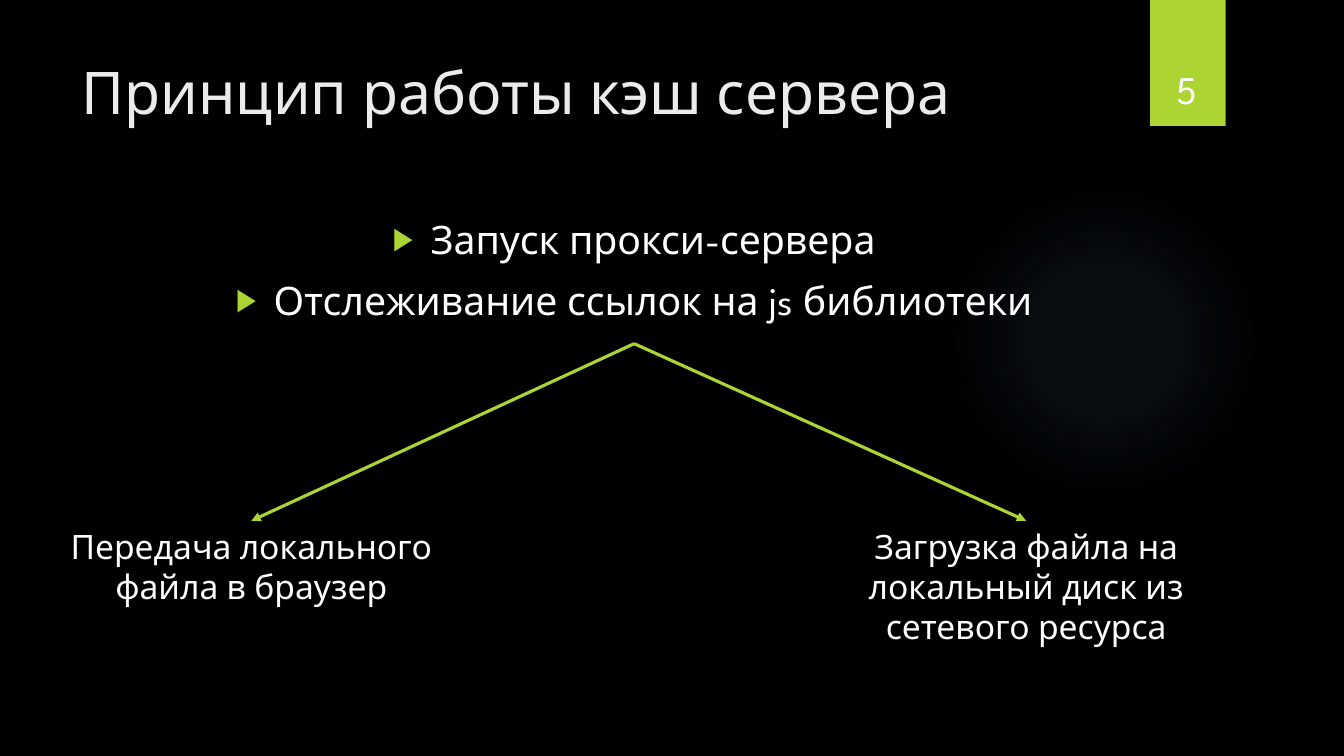
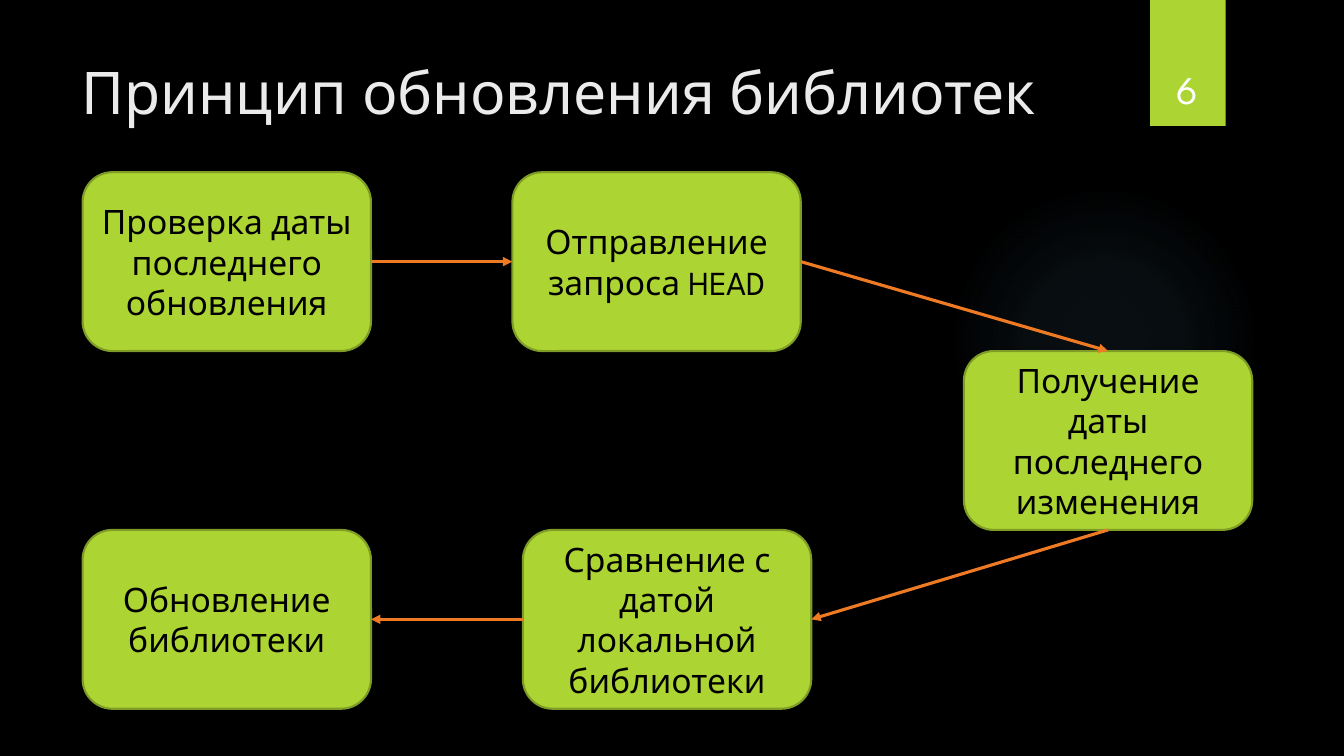
from dataclasses import dataclass

from pptx import Presentation
from pptx.dml.color import RGBColor
from pptx.enum.shapes import MSO_CONNECTOR, MSO_SHAPE
from pptx.enum.text import MSO_ANCHOR, MSO_AUTO_SIZE, PP_ALIGN
from pptx.oxml import parse_xml
from pptx.oxml.ns import nsdecls
from pptx.util import Pt

TOP, LEFT, BOTTOM, RIGHT = 0, 1, 2, 3


# Colours and type sizes
@dataclass(frozen=True)
class Theme:
    font: str = "League Spartan"
    back: RGBColor = RGBColor(0, 0, 0)
    lime: RGBColor = RGBColor(0xAC, 0xD4, 0x33)
    edge: RGBColor = RGBColor(0x7F, 0x9D, 0x26)
    orange: RGBColor = RGBColor(0xEF, 0x7A, 0x24)
    title: RGBColor = RGBColor(0xEB, 0xEB, 0xEB)
    white: RGBColor = RGBColor(0xFF, 0xFF, 0xFF)
    glow: str = "7AC4F0"
    head: int = 42
    list: int = 28
    label: int = 24


def assign(item, values):
    for name, value in values.items():
        setattr(item, name, value)


def xml(tag, inner="", **attrs):
    pairs = "".join(f' {name}="{value}"' for name, value in attrs.items())
    return parse_xml(f"<a:{tag} {nsdecls('a')}{pairs}>{inner}</a:{tag}>")


def points(*sizes):
    return [Pt(size) for size in sizes]


class Deck:
    def __init__(self, theme):
        self.theme = theme
        self.prs = Presentation()
        assign(self.prs, {"slide_width": Pt(960), "slide_height": Pt(540)})
        fill = self.prs.slide_master.background.fill
        fill.solid()
        fill.fore_color.rgb = theme.back
        self.slide = None

    # Shared frame: glow, corner tag, title and number
    def page(self, title, number, layout):
        theme = self.theme
        self.slide = self.prs.slides.add_slide(self.prs.slide_layouts[layout])
        head = self.slide.shapes.title
        self.place(head, (51, 36, 741, 110))
        self.letter(head.text_frame, [title], theme.head, theme.title, PP_ALIGN.LEFT)
        head.element.addprevious(self.glow().element)
        self.shape(MSO_SHAPE.RECTANGLE, (821.5, 0, 54, 90), theme.lime)
        self.text([number], (815, 23, 66, 60.5), theme.list,
                  vertical_anchor=MSO_ANCHOR.BOTTOM)

    def place(self, item, box):
        assign(item, dict(zip(("left", "top", "width", "height"), points(*box))))

    def letter(self, frame, lines, size, color, align=PP_ALIGN.CENTER, **more):
        assign(frame, {"word_wrap": True, "auto_size": MSO_AUTO_SIZE.NONE,
                       "vertical_anchor": MSO_ANCHOR.TOP, **more})
        for index, line in enumerate(lines):
            para = frame.add_paragraph() if index else frame.paragraphs[0]
            assign(para, {"alignment": align, "space_before": Pt(0)})
            run = para.add_run()
            run.text = line
            assign(run.font, {"name": self.theme.font, "size": Pt(size)})
            run.font.color.rgb = color

    def text(self, lines, box, size, **more):
        item = self.slide.shapes.add_textbox(*points(*box))
        self.letter(item.text_frame, lines, size, self.theme.white, **more)
        return item

    def shape(self, kind, box, color):
        item = self.slide.shapes.add_shape(kind, *points(*box))
        item.shadow.inherit = False
        item.fill.solid()
        item.fill.fore_color.rgb = color
        item.line.fill.background()
        return item

    def glow(self):
        item = self.shape(MSO_SHAPE.OVAL, (677.5, 132, 222, 222), self.theme.back)
        stops = "".join(
            f'<a:gs pos="{pos * 1000}"><a:srgbClr val="{self.theme.glow}">'
            f'<a:alpha val="{alpha * 1000}"/></a:srgbClr></a:gs>'
            for pos, alpha in ((0, 7), (36, 6), (69, 0), (100, 0)))
        middle = '<a:fillToRect l="50000" t="50000" r="50000" b="50000"/>'
        solid = item.element.spPr.find("{*}solidFill")
        solid.getparent().replace(solid, xml(
            "gradFill", f'<a:gsLst>{stops}</a:gsLst><a:path path="circle">{middle}</a:path>'))
        return item

    def bullets(self, lines, box):
        body = self.slide.placeholders[1]
        self.place(body, box)
        self.letter(body.text_frame, lines, self.theme.list, self.theme.white)
        for index, para in enumerate(body.text_frame.paragraphs):
            para.space_before = Pt(10 if index else 0)
            props = para._p.get_or_add_pPr()
            props.set("marL", str(Pt(27)))
            props.set("indent", str(-Pt(27)))
            props.append(xml("buClr", f'<a:srgbClr val="{self.theme.lime}"/>'))
            props.append(xml("buSzPct", val=80000))
            props.append(xml("buChar", char="▶"))

    def label(self, lines, box):
        return self.text(lines, box, self.theme.label,
                         auto_size=MSO_AUTO_SIZE.SHAPE_TO_FIT_TEXT)

    def step(self, line, box):
        item = self.shape(MSO_SHAPE.ROUNDED_RECTANGLE, box, self.theme.lime)
        item.line.color.rgb = self.theme.edge
        item.line.width = Pt(1.5)
        self.letter(item.text_frame, [line], self.theme.label, self.theme.back,
                    vertical_anchor=MSO_ANCHOR.MIDDLE)
        return item

    def arrow(self, color, end, side, start=(0, 0), begin=None, begin_side=0):
        line = self.slide.shapes.add_connector(
            MSO_CONNECTOR.STRAIGHT, *points(*start, *start))
        if begin is not None:
            line.begin_connect(begin, begin_side)
        line.end_connect(end, side)
        line.line.color.rgb = color
        line.line.width = Pt(2.25)
        props = line.element.spPr
        props.find("{*}ln").append(xml("tailEnd", type="triangle"))
        props.append(xml("effectLst"))


def main():
    theme = Theme()
    deck = Deck(theme)

    # Cache server: list that splits into two outcomes
    deck.page("Принцип работы кэш сервера", "5", 1)
    deck.bullets(["Запуск прокси-сервера", "Отслеживание ссылок на js библиотеки"],
                 (101, 150, 704, 86))
    for lines, box in (
        (["Передача локального", "файла в браузер"], (38, 372, 283, 65.5)),
        (["Загрузка файла на локальный диск из сетевого ресурса"],
         (597, 372, 272, 94.5)),
    ):
        deck.arrow(theme.lime, deck.label(lines, box), TOP, start=(453, 245.5))

    # Library update: chain of steps on three rows
    deck.page("Принцип обновления библиотек", "6", 5)
    width, height, top = 206, 127.75, 123
    steps = [deck.step(line, (left, top + row * height, width, height))
             for line, left, row in (
                 ("Проверка даты последнего обновления", 59, 0),
                 ("Отправление запроса HEAD", 366, 0),
                 ("Получение даты последнего изменения", 688.5, 1),
                 ("Сравнение с датой локальной библиотеки", 373.5, 2),
                 ("Обновление библиотеки", 59, 2))]
    sides = ((RIGHT, LEFT), (RIGHT, TOP), (BOTTOM, RIGHT), (LEFT, RIGHT))
    for begin, end, (out, into) in zip(steps, steps[1:], sides):
        deck.arrow(theme.orange, end, into, begin=begin, begin_side=out)

    deck.prs.save("out.pptx")


if __name__ == "__main__":
    main()
